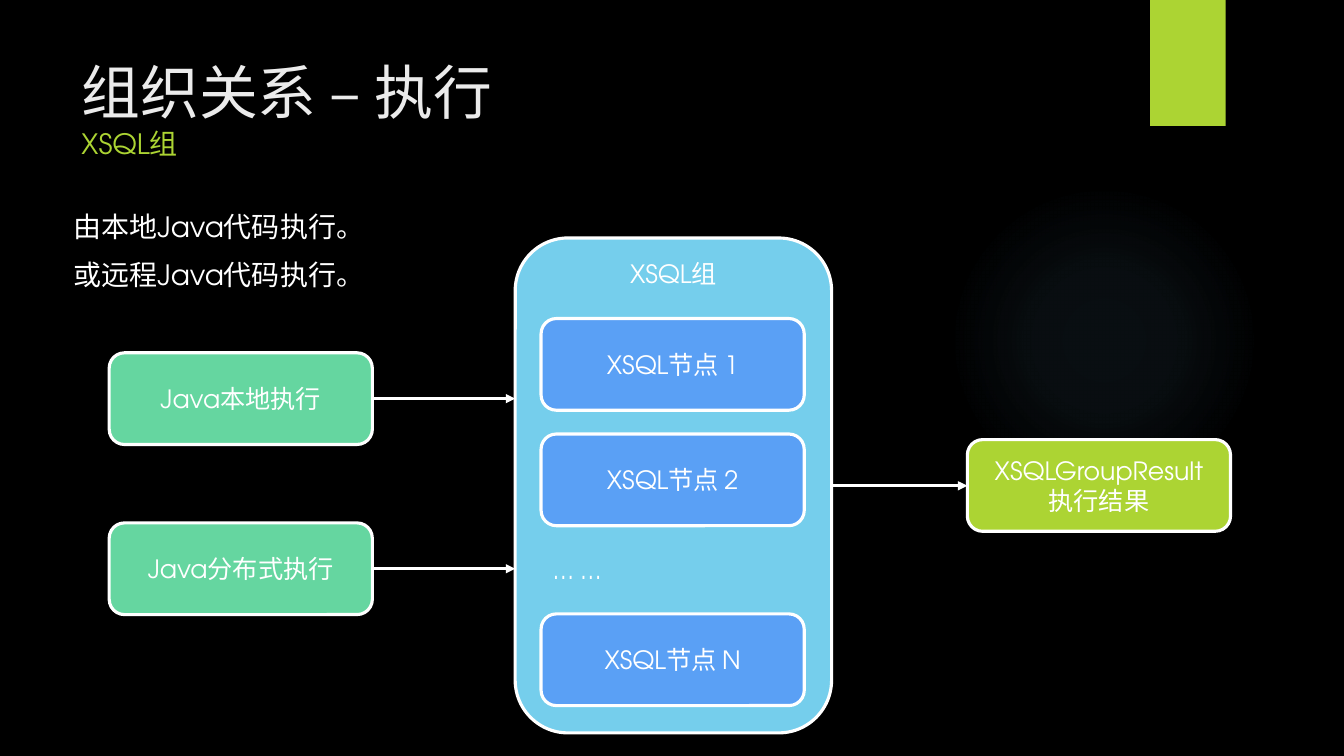
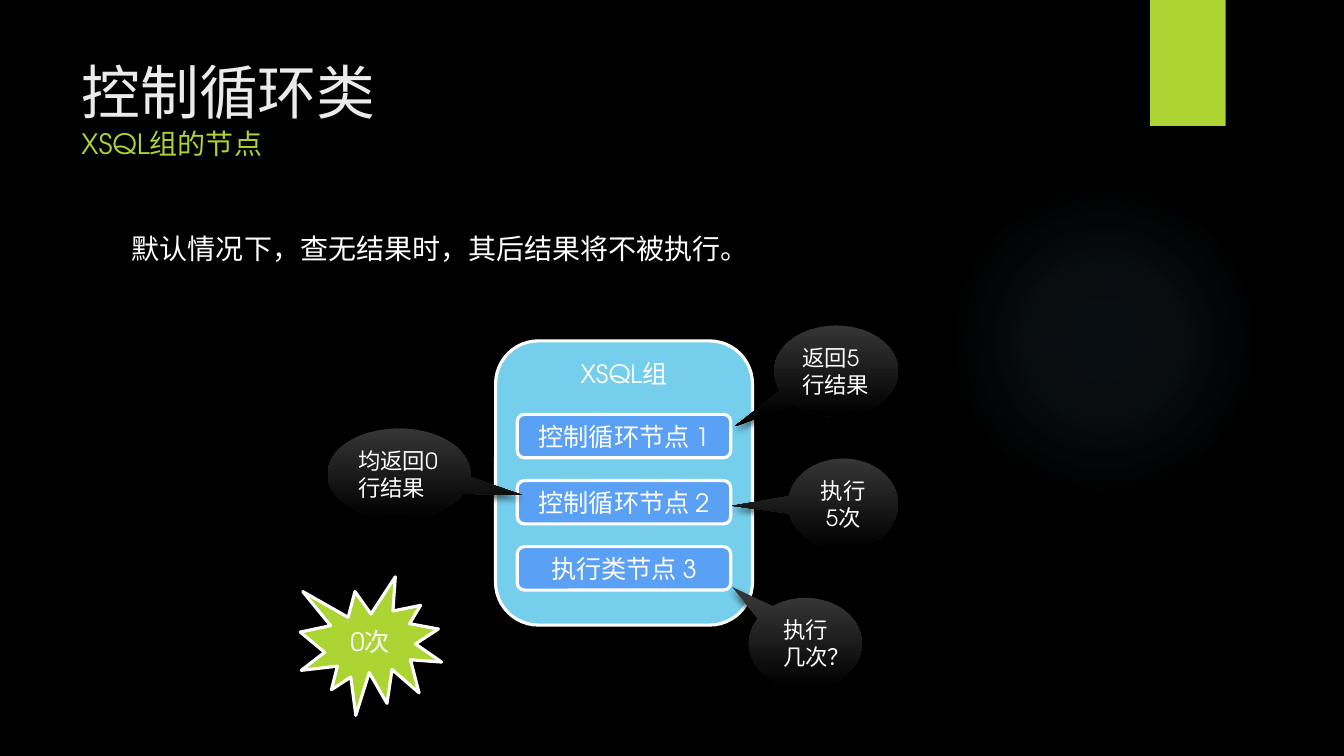
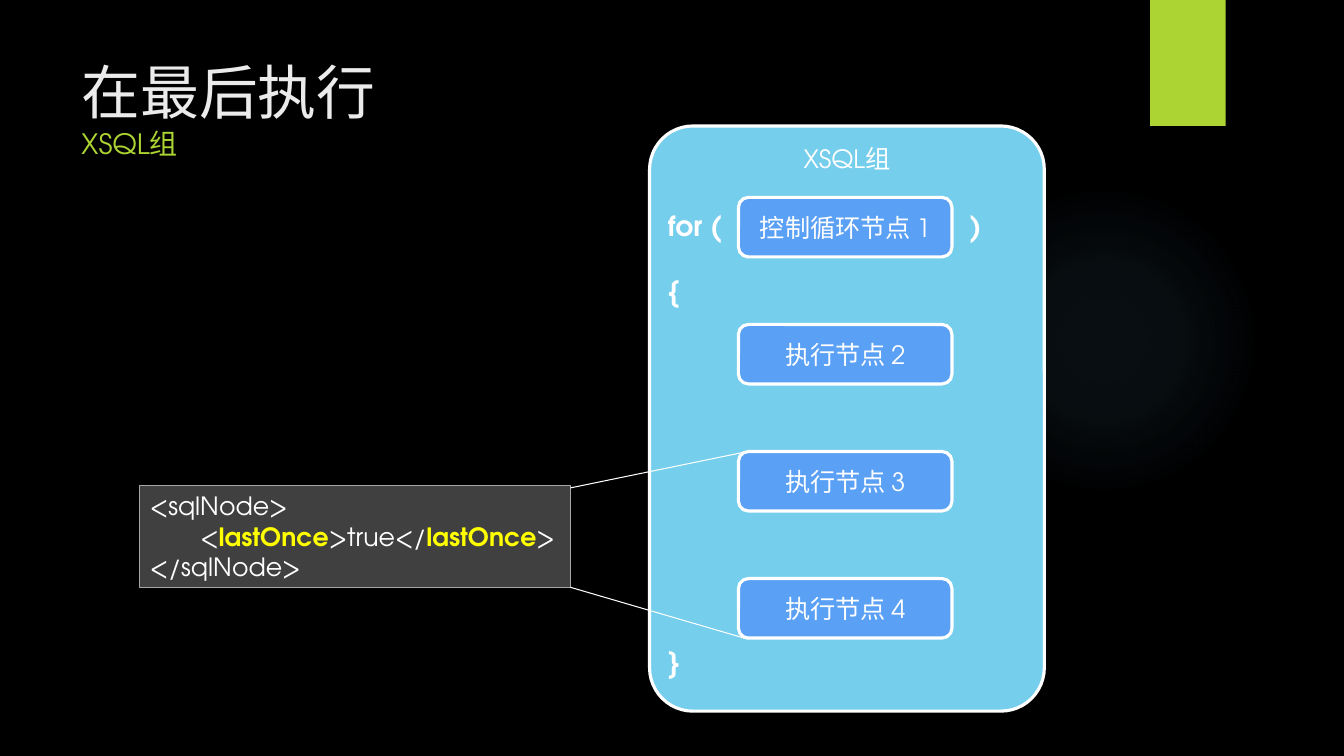
import pptx
import pptx.util
import pptx.dml.color
import pptx.enum.shapes
import pptx.enum.text
import pptx.oxml
import pptx.oxml.ns

Pt = pptx.util.Pt
SHAPE = pptx.enum.shapes.MSO_SHAPE
ALIGN = pptx.enum.text.PP_ALIGN
ANCHOR = pptx.enum.text.MSO_ANCHOR
qn = pptx.oxml.ns.qn

FONT = "TeX Gyre Adventor"
COLORS = {
    "black": "000000", "white": "FFFFFF", "title": "EBEBEB",
    "lime": "ACD433", "sky": "75CEEC", "blue": "5AA0F5",
    "mint": "65D6A0", "glow": "7AC4F0", "bubble": "353535",
    "code": "404040", "edge": "A6A6A6", "yellow": "FFFF00",
}
DRAWING = 'xmlns:a="http://schemas.openxmlformats.org/drawingml/2006/main"'


def rgb(name):
    return pptx.dml.color.RGBColor.from_string(COLORS[name])


def points(values):
    return [Pt(value) for value in values]


def place(shape, area):
    shape.left, shape.top, shape.width, shape.height = points(area)


def add_span(para, text, size, color, bold=False):
    span = para.add_run()
    span.text = text
    span.font.name = FONT
    span.font.size = Pt(size)
    span.font.bold = bold
    span.font.color.rgb = rgb(color)


def write_text(box, text, size=18, color="white", bold=False, align=ALIGN.CENTER,
               anchor=ANCHOR.MIDDLE, wrap=True, gap=0, plain=False, tab=None, accent=None):
    frame = box.text_frame
    frame.word_wrap = wrap
    frame.vertical_anchor = anchor
    for number, line in enumerate(text.split("\n")):
        para = frame.add_paragraph() if number else frame.paragraphs[0]
        para.alignment = align
        para.space_before = Pt(gap if number else 0)
        properties = para._p.get_or_add_pPr()
        if plain:
            properties.set("marL", "0")
            properties.set("indent", "0")
            properties.append(pptx.oxml.parse_xml(f"<a:buNone {DRAWING}/>"))
        if tab:
            properties.append(pptx.oxml.parse_xml(
                f'<a:tabLst {DRAWING}><a:tab pos="{Pt(tab)}" algn="l"/></a:tabLst>'))
        for index, part in enumerate(line.split(accent) if accent else [line]):
            if index:
                add_span(para, accent, size, "yellow", True)
            if part:
                add_span(para, part, size, color, bold)


def add_box(page, kind, area, fill=None, line=None, weight=2.25):
    shape = page.shapes.add_shape(kind, *points(area))
    shape.shadow.inherit = False
    if fill:
        shape.fill.solid()
        shape.fill.fore_color.rgb = rgb(fill)
    else:
        shape.fill.background()
    if line:
        shape.line.color.rgb = rgb(line)
        shape.line.width = Pt(weight)
    else:
        shape.line.fill.background()
    return shape


def add_shadow(shape, blur, distance, opacity):
    effects = shape.element.spPr.find(qn("a:effectLst"))
    effects.append(pptx.oxml.parse_xml(
        f'<a:outerShdw {DRAWING} blurRad="{Pt(blur)}" dist="{Pt(distance)}" dir="5400000" '
        f'rotWithShape="0"><a:srgbClr val="{COLORS["black"]}">'
        f'<a:alpha val="{opacity * 1000}"/></a:srgbClr></a:outerShdw>'))


def add_node(page, text, area, fill="blue", kind=SHAPE.ROUNDED_RECTANGLE):
    write_text(add_box(page, kind, area, fill, "white"), text)


def add_group(page, area, corner=None):
    shape = add_box(page, SHAPE.ROUNDED_RECTANGLE, area, "sky", "white")
    if corner:
        shape.adjustments[0] = corner
    write_text(shape, "XSQL组", anchor=ANCHOR.TOP)


def add_bubble(page, text, area, tip, align):
    shape = add_box(page, SHAPE.OVAL_CALLOUT, area)
    shape.adjustments[0], shape.adjustments[1] = tip
    shape.fill.gradient()
    shape.fill.gradient_angle = 270
    for stop, color in zip(shape.fill.gradient_stops, ("bubble", "black")):
        stop.color.rgb = rgb(color)
    add_shadow(shape, 5, 3, 60)
    write_text(shape, text, size=16, align=align)


def add_label(page, text, area, size=20, bold=True):
    box = page.shapes.add_textbox(*points(area))
    write_text(box, text, size=size, bold=bold, align=ALIGN.LEFT,
               anchor=ANCHOR.TOP, wrap=False)


def add_line(page, start, end, weight=2.25, arrow=True):
    line = page.shapes.add_connector(
        pptx.enum.shapes.MSO_CONNECTOR.STRAIGHT, *points(start + end))
    line.line.color.rgb = rgb("white")
    line.line.width = Pt(weight)
    if arrow:
        line.line._get_or_add_ln().append(
            pptx.oxml.parse_xml(f'<a:tailEnd {DRAWING} type="triangle"/>'))
    line.element.spPr.append(pptx.oxml.parse_xml(f"<a:effectLst {DRAWING}/>"))


def style_master(deck):
    master = deck.slide_master
    master.background.fill.solid()
    master.background.fill.fore_color.rgb = rgb("black")
    title = master.placeholders[0]
    place(title, (51, 36, 741, 110))
    title.text_frame.vertical_anchor = ANCHOR.TOP
    style = master.element.find(f".//{qn('p:titleStyle')}/{qn('a:lvl1pPr')}")
    style.set("algn", "l")
    style.find(qn("a:defRPr")).set("sz", "4200")


def move_bands_to_master(deck, page):
    glow = add_box(page, SHAPE.OVAL, (677.5, 132, 222, 222))
    stops = "".join(
        f'<a:gs pos="{position * 1000}"><a:srgbClr val="{COLORS["glow"]}">'
        f'<a:alpha val="{opacity * 1000}"/></a:srgbClr></a:gs>'
        for position, opacity in ((0, 7), (36, 6), (69, 0)))
    empty = glow.element.spPr.find(qn("a:noFill"))
    glow.element.spPr.replace(empty, pptx.oxml.parse_xml(
        f'<a:gradFill {DRAWING}><a:gsLst>{stops}</a:gsLst><a:path path="circle">'
        '<a:fillToRect l="50000" t="50000" r="50000" b="50000"/></a:path></a:gradFill>'))
    band = add_box(page, SHAPE.RECTANGLE, (821.5, 0, 54, 90), "lime")
    add_shadow(band, 3, 2, 45)
    for offset, shape in enumerate((glow, band)):
        shape.element.nvSpPr.cNvPr.id = 20 + offset
        deck.slide_master.shapes.element.insert(2 + offset, shape.element)


def add_page(deck, title, subtitle, body=None, area=None):
    page = deck.slides.add_slide(deck.slide_layouts[1 if body else 5])
    para = page.shapes.title.text_frame.paragraphs[0]
    add_span(para, title, 42, "title")
    para.add_line_break()
    add_span(para, subtitle, 20, "lime")
    if body:
        box = page.placeholders[1]
        place(box, area)
        write_text(box, body, size=20, align=ALIGN.LEFT, anchor=ANCHOR.TOP,
                   gap=10, plain=True)
    return page


def build_execution(deck):
    page = add_page(deck, "组织关系 – 执行", "XSQL组",
                    "由本地Java代码执行。\n或远程Java代码执行。", (45, 146, 704, 330))
    move_bands_to_master(deck, page)
    width, height = 188, 65.5
    add_group(page, (368, 170, 226, 353.5))
    for name, top in (("1", 227.5), ("2", 310), ("N", 438.5)):
        add_node(page, f"XSQL节点 {name}", (386.5, top, width, height))
    add_label(page, "… …", (388, 392.5, 59, 29), size=18, bold=False)
    for text, top in (("Java本地执行", 252), ("Java分布式执行", 373.5)):
        add_node(page, text, (78, top, width, height), "mint")
        middle = top + height / 2
        add_line(page, (78 + width, middle), (368, middle))
    add_node(page, "XSQLGroupResult\n执行结果", (691, 314, width, height), "lime")
    add_line(page, (594, 347), (691, 347))


def build_loop_control(deck):
    page = add_page(deck, "控制循环类", "XSQL组的节点",
                    "默认情况下，查无结果时，其后结果将不被执行。", (87, 162, 496, 330))
    add_group(page, (354, 243.5, 183.5, 203))
    for row, text in enumerate(("控制循环节点 1", "控制循环节点 2", "执行类节点 3")):
        add_node(page, text, (369.5, 296 + 47.25 * row, 152.5, 31))
    bubbles = (
        ("返回5行结果", (553, 232.5, 88.6, 65), (-0.82, 0.61), ALIGN.LEFT),
        ("均返回0行结果", (234, 306, 102, 65), (0.86, 0.23), ALIGN.LEFT),
        ("执行\n几次？", (535, 427, 80.6, 65), (-0.65, -0.62), ALIGN.CENTER),
        ("执行\n5次", (563, 327.5, 78.5, 65), (-1.01, 0.02), ALIGN.CENTER),
    )
    for bubble in bubbles:
        add_bubble(page, *bubble)
    add_node(page, "0次", (214.5, 412, 101, 99), "lime", SHAPE.EXPLOSION1)


def build_last_once(deck):
    page = add_page(deck, "在最后执行", "XSQL组")
    add_group(page, (464, 90, 282, 418), 0.11)
    nodes = ("控制循环节点 1", "执行节点 2", "执行节点 3", "执行节点 4")
    for row, text in enumerate(nodes):
        add_node(page, text, (527.5, 141 + 90.75 * row, 152.5, 42.5))
    labels = (("for (", 470, 145.5, 53), (")", 685.5, 145.5, 22),
              ("{", 470, 192, 22), ("}", 470, 456.5, 22))
    for text, left, top, width in labels:
        add_label(page, text, (left, top, width, 31.5))
    code = add_box(page, SHAPE.RECTANGLE, (100, 347, 307.5, 72.5), "code", "edge", 0.75)
    write_text(code, "<sqlNode>\n\t<lastOnce>true</lastOnce>\n</sqlNode>",
               align=ALIGN.LEFT, anchor=ANCHOR.TOP, tab=36, accent="lastOnce")
    for start, end in ((348.5, 322.5), (419.5, 456.5)):
        add_line(page, (407.5, start), (534, end), weight=0.75, arrow=False)


def main():
    deck = pptx.Presentation()
    deck.slide_width, deck.slide_height = points((960, 540))
    style_master(deck)
    build_execution(deck)
    build_loop_control(deck)
    build_last_once(deck)
    deck.save("out.pptx")


if __name__ == "__main__":
    main()
